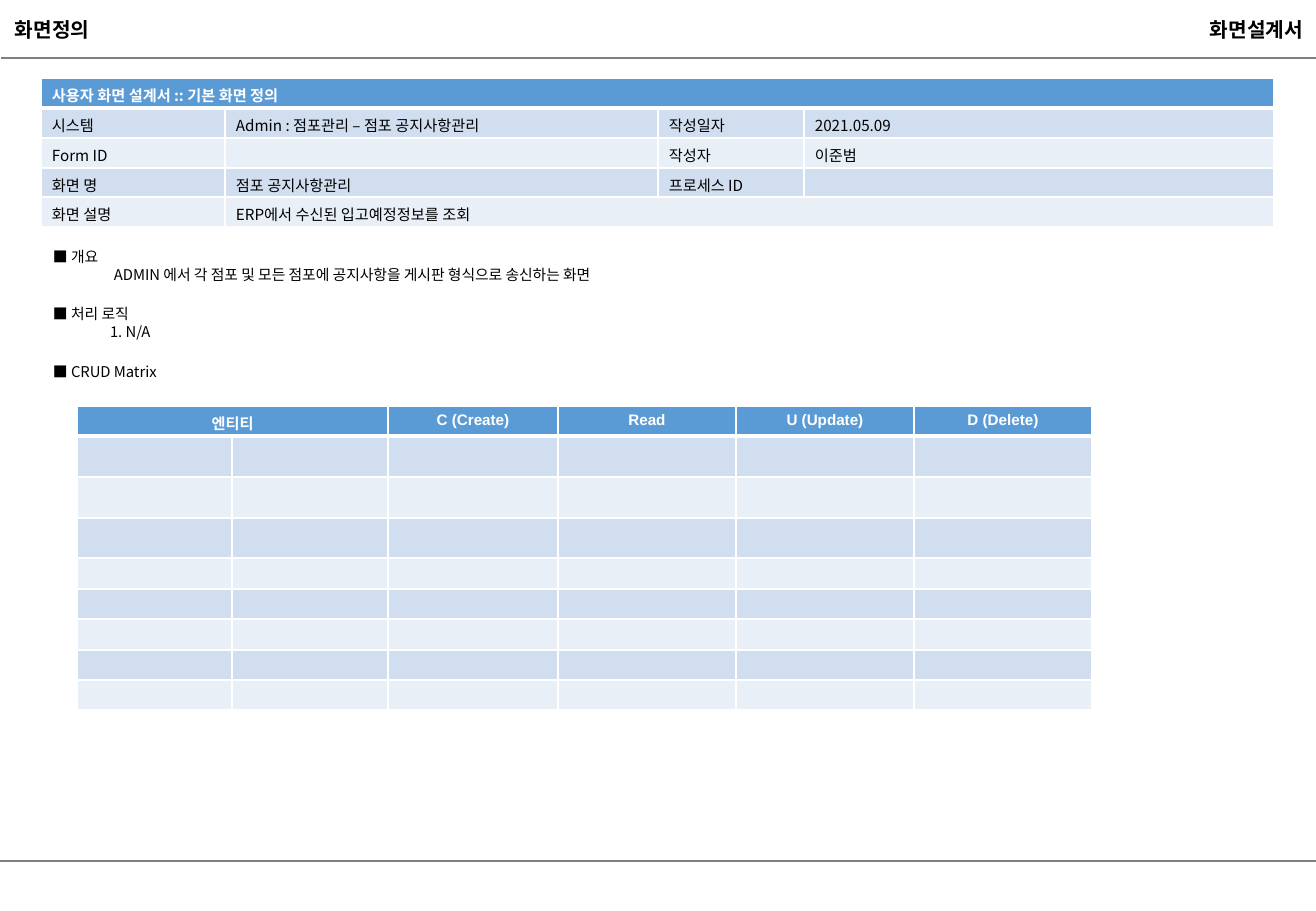
from lxml import etree
from pptx import Presentation
from pptx.dml.color import RGBColor
from pptx.enum.shapes import MSO_CONNECTOR
from pptx.enum.text import MSO_ANCHOR, PP_ALIGN
from pptx.oxml.ns import qn
from pptx.util import Pt

STRAIGHT = MSO_CONNECTOR.STRAIGHT
TOP, MIDDLE = MSO_ANCHOR.TOP, MSO_ANCHOR.MIDDLE
LEFT, CENTER, RIGHT = PP_ALIGN.LEFT, PP_ALIGN.CENTER, PP_ALIGN.RIGHT
SCALE = 7526
KOREAN, LATIN = "Noto Sans CJK KR", "Arial"
COLORS = {
    "text": "000000",
    "rule": "7F7F7F",
    "white": "FFFFFF",
    "header": "5B9BD5",
    "odd": "D0DEEF",
    "even": "E9EFF7",
}


def px(value):
    return value * SCALE


def rgb(name):
    return RGBColor.from_string(COLORS[name])


class SlideWriter:
    def __init__(self, slide):
        self.slide = slide

    def rule(self, x1, x2, y):
        line = self.slide.shapes.add_connector(STRAIGHT, px(x1), px(y), px(x2), px(y))
        line.line.color.rgb = rgb("rule")
        line.line.width = Pt(0.75)
        etree.SubElement(line._element.spPr, qn("a:effectLst"))

    def run(self, paragraph, text, size, color="text", bold=False, font=KOREAN):
        run = paragraph.add_run()
        run.text = text
        run.font.name = font
        run.font.size = Pt(size)
        run.font.bold = bold
        run.font.color.rgb = rgb(color)
        east_asian = etree.Element(qn("a:ea"), typeface=KOREAN)
        run._r.rPr.find(qn("a:latin")).addnext(east_asian)

    def text(self, box, lines, size, bold=False, align=LEFT, anchor=TOP):
        frame = self.slide.shapes.add_textbox(*map(px, box)).text_frame
        frame.word_wrap = True
        frame.vertical_anchor = anchor
        frame.margin_left = frame.margin_right = px(12)
        frame.margin_top = frame.margin_bottom = px(6)
        for index, (line, indent, gap) in enumerate(lines):
            paragraph = frame.paragraphs[0] if index == 0 else frame.add_paragraph()
            paragraph.alignment = align
            paragraph.space_before = Pt(gap)
            properties = paragraph._p.get_or_add_pPr()
            properties.set("marL", str(px(indent)))
            properties.set("indent", "0")
            self.run(paragraph, line, size, bold=bold)

    def borders(self, cell, row):
        properties = cell._tc.get_or_add_tcPr()
        widths = {"L": 1, "R": 1, "T": 3 if row == 1 else 1, "B": 3 if row == 0 else 1}
        for side, width in widths.items():
            line = etree.SubElement(properties, qn(f"a:ln{side}"), w=str(Pt(width)))
            fill = etree.SubElement(line, qn("a:solidFill"))
            etree.SubElement(fill, qn("a:srgbClr"), val=COLORS["white"])

    def table(self, left, top, columns, heights, rows, merges, inset,
              header_font=KOREAN, header_align=LEFT):
        box = (left, top, sum(columns), sum(heights))
        table = self.slide.shapes.add_table(
            len(heights), len(columns), *map(px, box)).table
        for column, width in zip(table.columns, columns):
            column.width = px(width)
        for row, (cells, height) in enumerate(zip(rows, heights)):
            table.rows[row].height = px(height)
            fill = "header" if row == 0 else ("even", "odd")[row % 2]
            for index, text in enumerate(cells):
                cell = table.cell(row, index)
                cell.margin_left = cell.margin_right = px(inset)
                cell.margin_top, cell.margin_bottom = px(6), px(1)
                self.borders(cell, row)
                cell.fill.solid()
                cell.fill.fore_color.rgb = rgb(fill)
                paragraph = cell.text_frame.paragraphs[0]
                if not text:
                    etree.SubElement(paragraph._p, qn("a:endParaRPr"), sz="900")
                elif row == 0:
                    paragraph.alignment = header_align
                    self.run(paragraph, text, 9, "white", True, header_font)
                else:
                    self.run(paragraph, text, 9)
        for row, first, last in merges:
            table.cell(row, first).merge(table.cell(row, last))


def main():
    deck = Presentation()
    deck.slide_width, deck.slide_height = px(1316), px(911)
    writer = SlideWriter(deck.slides.add_slide(deck.slide_layouts[6]))

    writer.rule(0, 1316, 861)
    writer.rule(1, 1316, 58)
    writer.text((3, 11, 106, 36), [("화면정의", 0, 0)], 12, True, LEFT, MIDDLE)
    writer.text((942, 11, 373, 36), [("화면설계서", 0, 0)], 12, True, RIGHT, MIDDLE)

    definition = [
        ("사용자 화면 설계서 :: 기본 화면 정의", "", "", ""),
        ("시스템", "Admin : 점포관리 – 점포 공지사항관리", "작성일자", "2021.05.09"),
        ("Form ID", "", "작성자", "이준범"),
        ("화면 명", "점포 공지사항관리", "프로세스 ID", ""),
        ("화면 설명", "ERP에서 수신된 입고예정정보를 조회", "", ""),
    ]
    writer.table(41, 78, [184, 433, 146, 470], [30, 30, 30, 29, 30],
                 definition, [(0, 0, 3), (4, 1, 3)], 11)

    section_gap = 12.75
    overview = [
        ("■ 개요", 0, 0),
        ("ADMIN 에서 각 점포 및 모든 점포에 공지사항을 게시판 형식으로 송신하는 화면", 61, 0),
        ("■ 처리 로직", 0, section_gap),
        ("1. N/A", 57, 0),
        ("■ CRUD Matrix", 0, section_gap),
    ]
    writer.text((41, 242, 1234, 160), overview, 8.8)

    operations = ("엔티티", "", "C (Create)", "Read", "U (Update)", "D (Delete)")
    matrix = [operations] + [("",) * len(operations)] * 8
    writer.table(77, 406, [155, 156, 170, 178, 178, 178],
                 [30, 41, 41, 40, 31, 30, 31, 30, 30],
                 matrix, [(0, 0, 1)], 12, LATIN, CENTER)

    deck.save("out.pptx")


if __name__ == "__main__":
    main()
